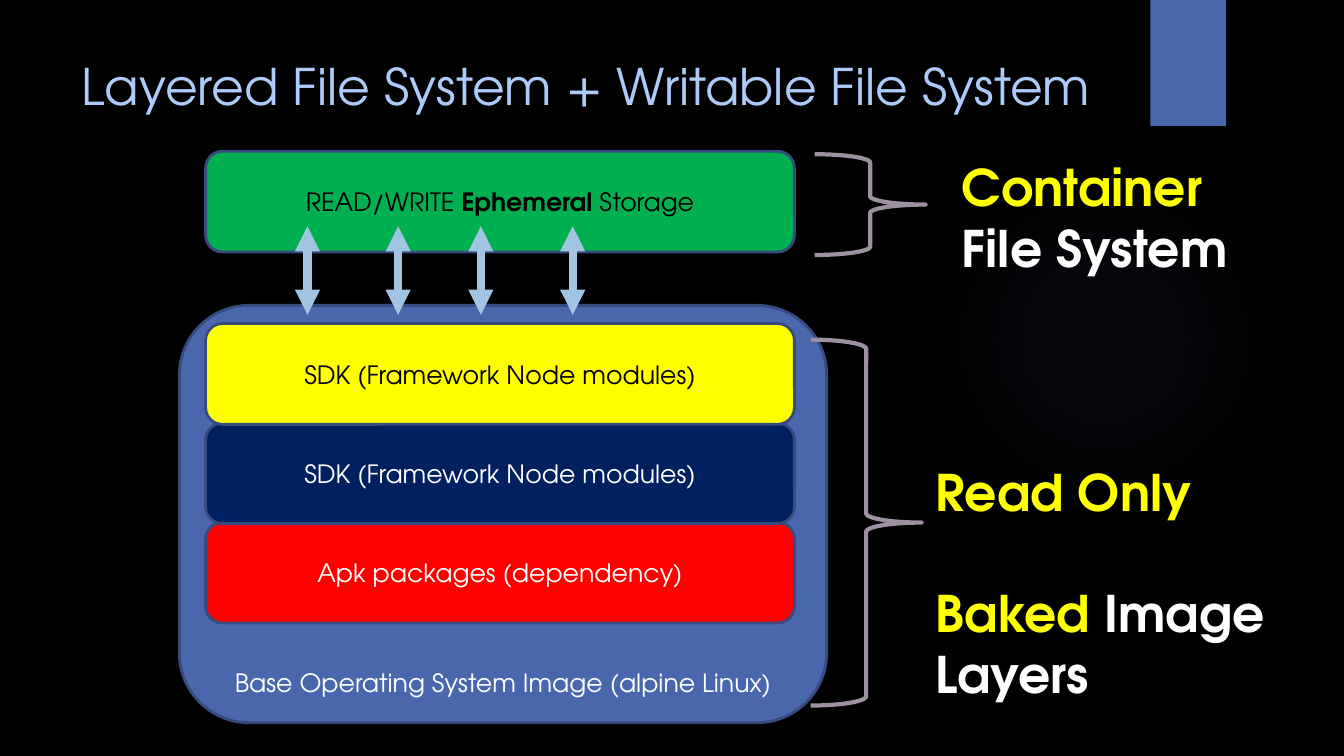
from lxml import etree
from pptx import Presentation, util as u
from pptx.dml.color import RGBColor
from pptx.enum import shapes, text
from pptx.oxml import parse_xml
from pptx.oxml.ns import nsdecls, qn

FONT = "TeX Gyre Adventor"
PAGE = (0, 0, u.Inches(13.33), u.Inches(7.5))
BLUE, EDGE, BRACE, ARROW = "4A66AC", "374B7F", "9D90A0", "A1C4E3"
WHITE, BLACK, YELLOW = "FFFFFF", "000000", "FFFF00"
LAYERS = [
    ("SDK (Framework Node modules)", YELLOW, BLACK),
    ("SDK (Framework Node modules)", "002060", WHITE),
    ("Apk packages (dependency)", "FF0000", WHITE),
]
ARROW_COLUMNS = (17.3, 32.7, 46.75, 62.35)


def rgb(value):
    """Turn a hex string into a colour."""
    return RGBColor.from_string(value)


def share(box, left, top, width, height):
    """Return the part of a box given in percent of its size."""
    x, y, w, h = box
    return tuple(round(n) for n in (x + w * left / 100, y + h * top / 100,
                                    w * width / 100, h * height / 100))


def write(frame, paragraphs, size, align, anchor, gap=0):
    """Fill a text frame with paragraphs of (text, colour, bold) runs."""
    settings = {"word_wrap": True, "auto_size": text.MSO_AUTO_SIZE.NONE,
                "vertical_anchor": anchor}
    for name, value in settings.items():
        setattr(frame, name, value)
    for i, runs in enumerate(paragraphs):
        paragraph = frame.add_paragraph() if i else frame.paragraphs[0]
        paragraph.alignment = align
        paragraph.space_before = u.Pt(gap if i else 0)
        for words, color, bold in runs:
            run = paragraph.add_run()
            run.text = words
            run.font.color.rgb = rgb(color)
            for name, value in {"name": FONT, "size": u.Pt(size), "bold": bold}.items():
                setattr(run.font, name, value)


def add_block(slide, box, kind, fill=None, line=None, weight=2):
    """Add a flat preset shape with the given fill and outline."""
    block = slide.shapes.add_shape(kind, *box)
    block.shadow.inherit = False
    if fill:
        block.fill.solid()
        block.fill.fore_color.rgb = rgb(fill)
    else:
        block.fill.background()
    if line:
        block.line.color.rgb = rgb(line)
        block.line.width = u.Pt(weight)
    else:
        block.line.fill.background()
    return block


def add_layer(slide, box, fill, runs, anchor=text.MSO_ANCHOR.MIDDLE):
    """Add a rounded storage layer with a centred caption."""
    layer = add_block(slide, box, shapes.MSO_SHAPE.ROUNDED_RECTANGLE, fill, EDGE)
    write(layer.text_frame, [runs], 18, text.PP_ALIGN.CENTER, anchor)


def add_backdrop(slide, box):
    """Paint the black background, the faint glow and the corner tab."""
    slide.background.fill.solid()
    slide.background.fill.fore_color.rgb = rgb(BLACK)
    glow = add_block(slide, share(box, 70.59, 24.4, 23.11, 41.07), shapes.MSO_SHAPE.OVAL)
    stops = "".join(
        f'<a:gs pos="{pos}000"><a:srgbClr val="5C64B7"><a:alpha val="{alpha}000"/></a:srgbClr></a:gs>'
        for pos, alpha in ((0, 7), (36, 6), (69, 0)))
    gradient = parse_xml(
        f'<a:gradFill {nsdecls("a")}><a:gsLst>{stops}</a:gsLst><a:path path="circle">'
        '<a:fillToRect l="50000" t="50000" r="50000" b="50000"/></a:path></a:gradFill>')
    properties = glow.element.spPr
    properties.replace(properties.find(qn("a:noFill")), gradient)
    add_block(slide, share(box, 85.6, 0, 5.63, 16.67), shapes.MSO_SHAPE.RECTANGLE, BLUE)


def add_title(slide, box):
    """Place and format the title placeholder."""
    title = slide.shapes.title
    for name, value in zip(("left", "top", "width", "height"), box):
        setattr(title, name, value)
    write(title.text_frame, [[("Layered File System + Writable File System", "ACCBF9", False)]],
          36, text.PP_ALIGN.LEFT, text.MSO_ANCHOR.TOP)


def add_image_stack(slide, box):
    """Draw the base image with its read-only layers."""
    add_layer(slide, box, BLUE, [("Base Operating System Image (alpine Linux)", WHITE, False)],
              text.MSO_ANCHOR.BOTTOM)
    for row, (caption, fill, color) in reversed(list(enumerate(LAYERS))):
        add_layer(slide, share(box, 4.05, 4.35 + 23.8 * row, 90.97, 24.15), fill,
                  [(caption, color, False)])


def add_storage(slide, box):
    """Draw the writable layer and its arrows to the image below."""
    add_layer(slide, box, "00B050", [("READ/WRITE ", BLACK, False), ("Ephemeral", BLACK, True),
                                     (" Storage", BLACK, False)])
    for column in ARROW_COLUMNS:
        x, y, _, length = share(box, column, 74.5, 0, 88)
        arrow = slide.shapes.add_connector(shapes.MSO_CONNECTOR.STRAIGHT, x, y, x, y + length)
        arrow.line.color.rgb = rgb(ARROW)
        arrow.line.width = u.Pt(6)
        for end in ("a:headEnd", "a:tailEnd"):
            etree.SubElement(arrow.line._get_or_add_ln(), qn(end), type="triangle")
        etree.SubElement(arrow.element.spPr, qn("a:effectLst"))


def add_group_label(slide, brace_box, label_box, paragraphs, gap=0):
    """Draw a brace and the bold label next to it."""
    add_block(slide, brace_box, shapes.MSO_SHAPE.RIGHT_BRACE, line=BRACE, weight=3)
    label = slide.shapes.add_textbox(*label_box)
    write(label.text_frame, paragraphs, 36, text.PP_ALIGN.LEFT, text.MSO_ANCHOR.TOP, gap)


def main():
    """Build and save the slide."""
    deck = Presentation()
    deck.slide_width, deck.slide_height = PAGE[2:]
    slide = deck.slides.add_slide(deck.slide_layouts[5])
    add_backdrop(slide, PAGE)
    add_title(slide, share(PAGE, 5.33, 6.67, 77.19, 20.4))
    add_image_stack(slide, share(PAGE, 13.35, 40.4, 48.16, 55.2))
    add_group_label(slide, share(PAGE, 60.32, 44.93, 8.25, 48.4),
                    share(PAGE, 68.87, 60.4, 29.18, 33.6),
                    [[("Read Only", YELLOW, True)],
                     [("Baked ", YELLOW, True), ("Image Layers", WHITE, True)]], gap=43)
    add_storage(slide, share(PAGE, 15.3, 20, 43.81, 13.33))
    add_group_label(slide, share(PAGE, 60.62, 20.4, 8.25, 13.33),
                    share(PAGE, 70.82, 20, 29.18, 17.47),
                    [[("Container", YELLOW, True)], [("File System", WHITE, True)]])
    deck.save("out.pptx")


if __name__ == "__main__":
    main()
